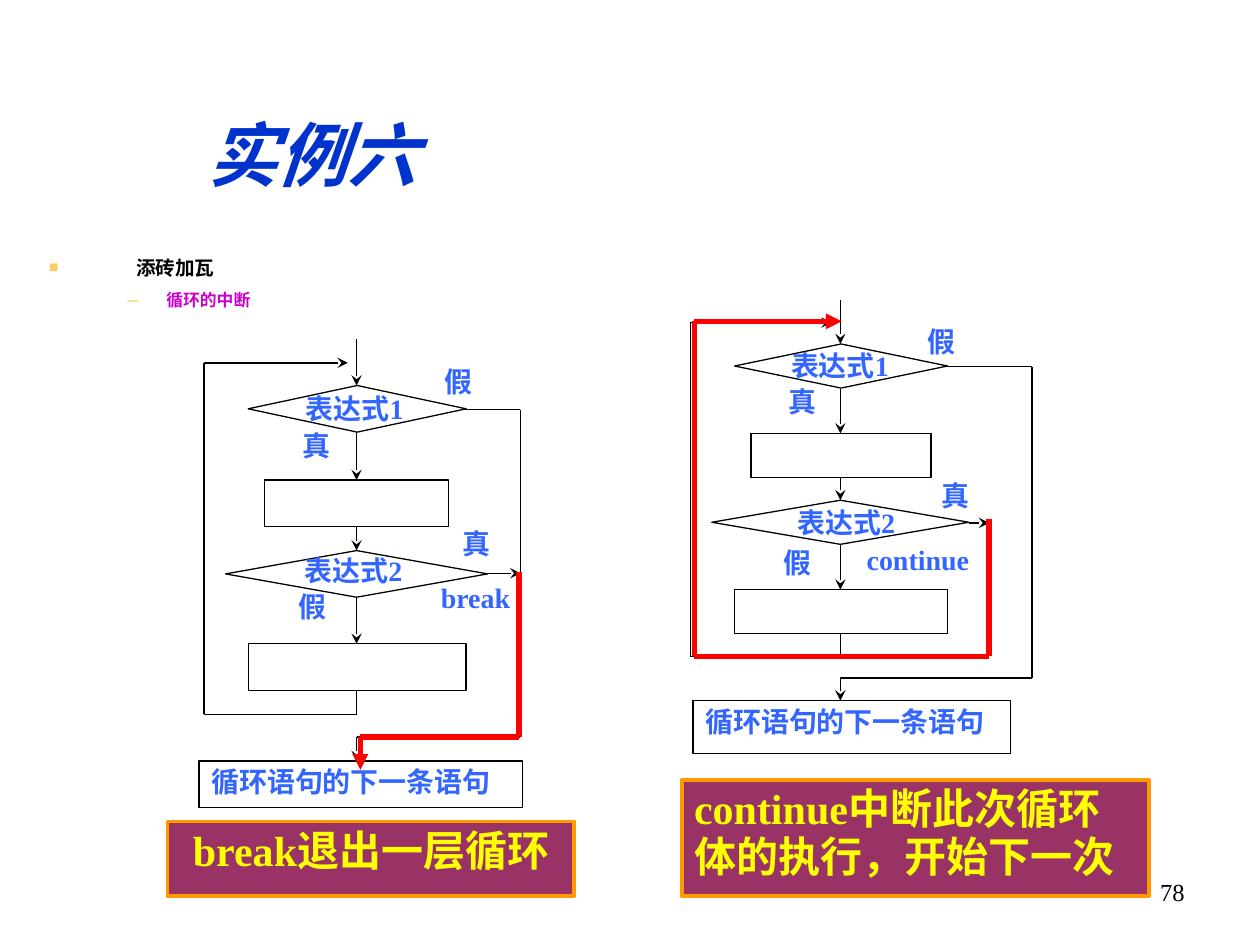
from itertools import pairwise

from lxml.etree import SubElement
from pptx import Presentation
from pptx.dml.color import RGBColor
from pptx.enum.shapes import MSO_CONNECTOR, MSO_SHAPE
from pptx.enum.text import MSO_ANCHOR, MSO_AUTO_SIZE, PP_ALIGN
from pptx.oxml import parse_xml
from pptx.oxml.ns import nsdecls, qn
from pptx.util import Emu, Pt

FONT = "Times New Roman"
BLACK = RGBColor(0x00, 0x00, 0x00)
WHITE = RGBColor(0xFF, 0xFF, 0xFF)
RED = RGBColor(0xFF, 0x00, 0x00)
TITLE_BLUE = RGBColor(0x00, 0x33, 0xCC)
LABEL_BLUE = RGBColor(0x33, 0x66, 0xFF)
PLUM = RGBColor(0x99, 0x33, 0x66)
ORANGE = RGBColor(0xFF, 0x99, 0x00)
YELLOW = RGBColor(0xFF, 0xFF, 0x00)
MAGENTA = RGBColor(0xCC, 0x00, 0xCC)
GOLD = RGBColor(0xFF, 0xCC, 0x66)


def px(length):
    """Convert px, 100 to the inch, into EMU."""
    return Emu(length * 9144)


def place(part, box):
    """Move a part to a box of left, top, width and height."""
    part.left, part.top, part.width, part.height = map(px, box)


def write(paragraph, text, size, color, bold=True):
    """Add one formatted run and return it."""
    run = paragraph.add_run()
    run.text = text
    run.font.name = FONT
    run.font.size = Pt(size)
    run.font.bold = bold
    run.font.color.rgb = color
    return run


def fill_text(part, text, size, color, align=PP_ALIGN.LEFT, bold=True):
    """Write a single wrapped paragraph from the top of a part."""
    frame = part.text_frame
    frame.word_wrap = True
    frame.vertical_anchor = MSO_ANCHOR.TOP
    paragraph = frame.paragraphs[0]
    paragraph.alignment = align
    paragraph.line_spacing = 0.95
    write(paragraph, text, size, color, bold)


def add_label(slide, box, text, size=16, color=LABEL_BLUE, **style):
    """Add a text label."""
    fill_text(slide.shapes.add_textbox(*map(px, box)), text, size, color, **style)


def add_block(slide, kind, box, fill=None, line=BLACK, weight=0.75):
    """Add an outlined block, unfilled when no fill is given."""
    block = slide.shapes.add_shape(kind, *map(px, box))
    block.shadow.inherit = False
    if fill is None:
        block.fill.background()
    else:
        block.fill.solid()
        block.fill.fore_color.rgb = fill
    block.line.color.rgb = line
    block.line.width = Pt(weight)
    return block


def add_route(slide, origin, points, arrow=None, color=BLACK, weight=0.75):
    """Join points with straight lines, with an arrowhead on the last one."""
    left, top = origin
    for (x1, y1), (x2, y2) in pairwise(points):
        line = slide.shapes.add_connector(
            MSO_CONNECTOR.STRAIGHT, px(left + x1), px(top + y1), px(left + x2), px(top + y2))
        line.line.color.rgb = color
        line.line.width = Pt(weight)
        SubElement(line._element.spPr, qn("a:effectLst"))
    if arrow:
        SubElement(line.line._get_or_add_ln(), qn("a:tailEnd"), type=arrow)


def add_loop(slide, box, axis, jump, widths, next_box, labels, red_route):
    """Draw a loop flowchart on eighteen equal rows, with its jump in red."""
    left, top, width, height = box
    origin = left, top

    def row(number):
        return round(number * height / 18)

    def shift(part):
        x, y, part_width, part_height = part
        return left + x, top + y, part_width, part_height

    decision, process = MSO_SHAPE.FLOWCHART_DECISION, MSO_SHAPE.RECTANGLE
    steps = zip((decision, process, decision, process), (2, 6, 9, 13), widths)
    for kind, start, step_width in steps:
        step = axis - step_width // 2, row(start), step_width, row(2)
        add_block(slide, kind, shift(step), WHITE)
    for start, end in ((0, 2), (4, 6), (8, 9), (11, 13)):
        add_route(slide, origin, [(axis, row(start)), (axis, row(end))], "stealth")

    add_route(slide, origin, [(axis + widths[0] // 2, row(3)), (width, row(3)),
                              (width, row(17)), (axis, row(17)), (axis, row(18))], "stealth")
    add_route(slide, origin, [(axis + widths[2] // 2, row(10)), (jump, row(10))], "stealth")
    add_route(slide, origin, [(axis, row(15)), (axis, row(16))])
    turn = axis
    if jump < width:
        turn = jump
        add_route(slide, origin, [(jump, row(10)), (jump, row(16))])
    add_route(slide, origin, [(turn, row(16)), (0, row(16)), (0, row(1)),
                              (axis - 7, row(1))], "stealth")

    next_statement = add_block(slide, process, shift(next_box))
    fill_text(next_statement, "循环语句的下一条语句", 16, LABEL_BLUE)
    for text, x, y, label_width in labels:
        add_label(slide, shift((x, y, label_width, 54)), text)
    add_route(slide, origin, red_route, "triangle", RED, 3)


def add_banner(slide, box, text, align):
    """Add a summary banner."""
    banner = add_block(slide, MSO_SHAPE.RECTANGLE, box, PLUM, ORANGE, 2.25)
    fill_text(banner, text, 24, YELLOW, align)


def set_title(slide, box, text):
    """Fill the title placeholder with shadowed text."""
    title = slide.shapes.title
    place(title, box)
    frame = title.text_frame
    frame.auto_size = MSO_AUTO_SIZE.NONE
    frame.word_wrap = True
    frame.vertical_anchor = MSO_ANCHOR.MIDDLE
    frame.margin_left = frame.margin_top = frame.margin_right = frame.margin_bottom = 0
    frame.paragraphs[0].alignment = PP_ALIGN.CENTER
    run = write(frame.paragraphs[0], text, 40, TITLE_BLUE)
    run.font.italic = True
    shadow = parse_xml(
        f'<a:effectLst {nsdecls("a")}><a:outerShdw dist="25400" dir="2700000">'
        f'<a:srgbClr val="{BLACK}"/></a:outerShdw></a:effectLst>')
    run.font._element.find(qn("a:latin")).addprevious(shadow)


def set_outline(slide, box):
    """Fill the body placeholder with its two-level list."""
    body = slide.placeholders[1]
    place(body, box)
    frame = body.text_frame
    frame.auto_size = MSO_AUTO_SIZE.NONE
    items = (("添砖加瓦", 11.2, BLACK, 69, 69, "■", 80, Pt(33.6), 0),
             ("循环的中断", 9.6, MAGENTA, 93, 31, "–", 115, 1.0, 6))
    for level, (text, size, color, margin, hang, mark, scale, spacing, before) in enumerate(items):
        paragraph = frame.add_paragraph() if level else frame.paragraphs[0]
        paragraph.level = level
        properties = paragraph._p.get_or_add_pPr()
        properties.set("marL", str(px(margin)))
        properties.set("indent", str(px(-hang)))
        SubElement(SubElement(properties, qn("a:buClr")), qn("a:srgbClr"), val=str(GOLD))
        SubElement(properties, qn("a:buSzPct"), val=str(scale * 1000))
        SubElement(properties, qn("a:buChar"), char=mark)
        paragraph.line_spacing = spacing
        paragraph.space_before = Pt(before)
        write(paragraph, text, size, color)


def main():
    """Build and save the slide."""
    deck = Presentation()
    deck.slide_width, deck.slide_height = px(1000), px(750)
    slide = deck.slides.add_slide(deck.slide_layouts[1])
    set_title(slide, (148, 87, 200, 69), "实例六")
    set_outline(slide, (29, 170, 875, 71))
    add_loop(
        slide, (162, 269, 251, 335), 121, 251, (173, 146, 208, 173), (-4, 335, 257, 37),
        (("假", 181, 17, 87), ("假", 65, 196, 87), ("真", 68, 68, 87), ("真", 195, 146, 87),
         ("break", 178, 189, 95), ("表达式1", 71, 39, 144), ("表达式2", 70, 167, 173)),
        [(250, 185), (250, 316), (124, 316), (124, 342)])
    add_loop(
        slide, (548, 238, 271, 318), 119, 237, (169, 143, 204, 169), (2, 318, 252, 42),
        (("假", 178, 17, 85), ("假", 64, 192, 85), ("真", 68, 64, 85), ("真", 189, 139, 85),
         ("continue", 130, 190, 119), ("表达式1", 70, 36, 167), ("表达式2", 75, 160, 144)),
        [(237, 174), (237, 283), (3, 283), (3, 17), (120, 17)])
    add_banner(slide, (133, 652, 323, 59), "break退出一层循环", PP_ALIGN.CENTER)
    add_banner(slide, (541, 619, 371, 92), "continue中断此次循环体的执行，开始下一次", PP_ALIGN.LEFT)
    add_label(slide, (717, 693, 233, 52), "78", 14, BLACK, align=PP_ALIGN.RIGHT, bold=False)
    deck.save("out.pptx")


if __name__ == "__main__":
    main()
